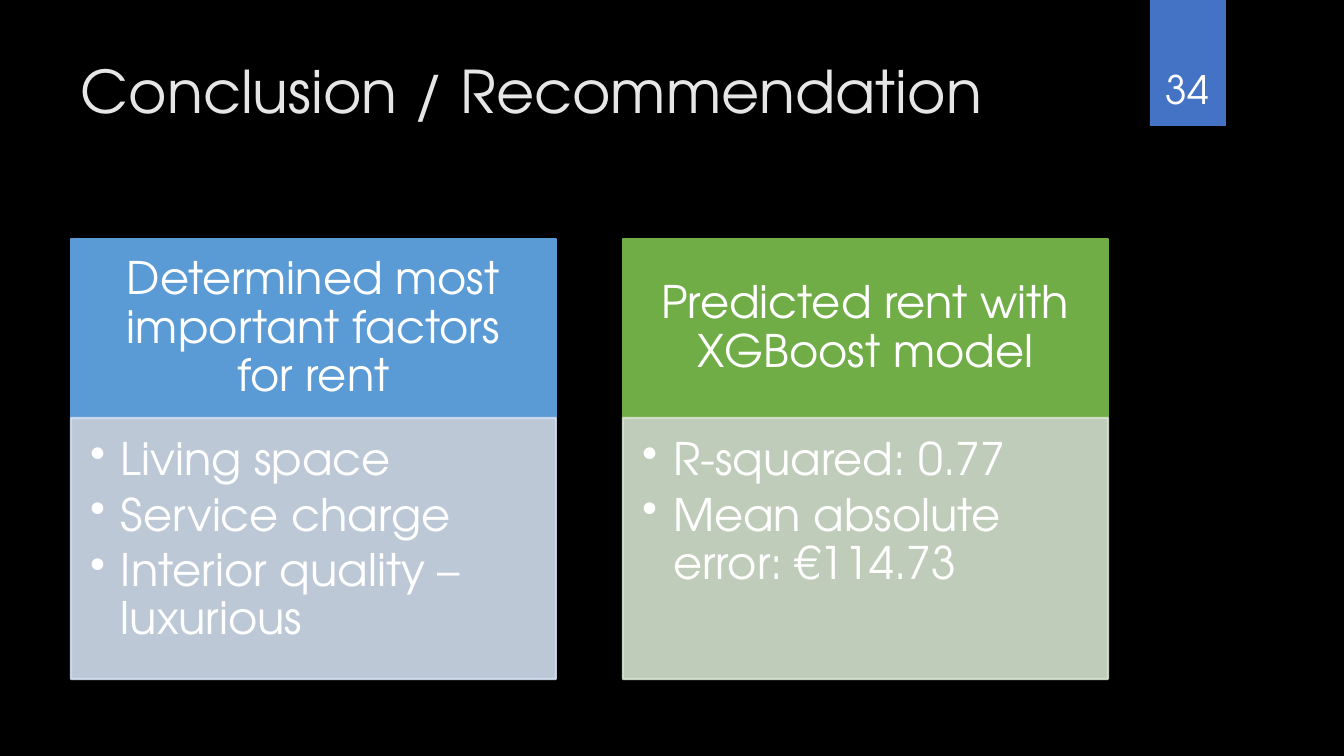
"""Build the conclusion slide: a title, a page tab and two headed cards."""
from lxml import etree
from pptx import Presentation
from pptx import util as u
from pptx.dml.color import RGBColor
from pptx.enum import shapes, text
from pptx.oxml.ns import qn

PX = 914400 / 100.8
BLACK = RGBColor(0x00, 0x00, 0x00)
WHITE = RGBColor(0xFF, 0xFF, 0xFF)
TITLE_GREY = RGBColor(0xE7, 0xE6, 0xE6)
TAB_BLUE = RGBColor(0x44, 0x72, 0xC4)
BLUE = RGBColor(0x5B, 0x9B, 0xD5)
PALE_BLUE = RGBColor(0xD2, 0xDE, 0xEF)
GREEN = RGBColor(0x70, 0xAD, 0x47)
PALE_GREEN = RGBColor(0xD5, 0xE3, 0xCF)
FONT = "TeX Gyre Adventor"

TITLE = "Conclusion / Recommendation"
PAGE = "34"
CARDS = [
    ("Determined most important factors for rent",
     ["Living space", "Service charge", "Interior quality – luxurious"],
     BLUE, PALE_BLUE),
    ("Predicted rent with XGBoost model",
     ["R-squared: 0.77", "Mean absolute error: €114.73"],
     GREEN, PALE_GREEN),
]

LEFT, CARD_TOP, CARD_WIDTH, CARD_STEP = 71, 239, 485, 552
HEAD_HEIGHT, BODY_HEIGHT = 179, 261
BULLET_INDENT = 31


def px(length):
    return u.Emu(round(length * PX))


def write(shape, lines, size=32, color=WHITE, align=text.PP_ALIGN.LEFT,
          anchor=text.MSO_ANCHOR.TOP, insets=(10, 5, 10, 5),
          spacing=None, after=0, bullet=None):
    frame = shape.text_frame
    frame.word_wrap = True
    frame.vertical_anchor = anchor
    (frame.margin_left, frame.margin_top,
     frame.margin_right, frame.margin_bottom) = map(px, insets)
    for index, line in enumerate(lines):
        paragraph = frame.add_paragraph() if index else frame.paragraphs[0]
        paragraph.alignment = align
        paragraph.line_spacing = spacing
        paragraph.space_after = u.Pt(after)
        if bullet:
            properties = paragraph._p.get_or_add_pPr()
            properties.set("marL", str(px(BULLET_INDENT)))
            properties.set("indent", str(-px(BULLET_INDENT)))
            etree.SubElement(properties, qn("a:buChar"), char=bullet)
        run = paragraph.add_run()
        run.text = line
        run.font.name = FONT
        run.font.size = u.Pt(size)
        run.font.color.rgb = color


def add_box(slide, bounds, color, outlined=True, opacity=100):
    box = slide.shapes.add_shape(shapes.MSO_SHAPE.RECTANGLE, *map(px, bounds))
    box.shadow.inherit = False
    box.fill.solid()
    box.fill.fore_color.rgb = color
    if outlined:
        box.line.color.rgb = color
        box.line.width = u.Pt(1.5)
    else:
        box.line.fill.background()
    if opacity < 100:
        for tint in box._element.spPr.iter(qn("a:srgbClr")):
            etree.SubElement(tint, qn("a:alpha"), val=str(opacity * 1000))
    return box


def add_card(slide, left, heading, points, color, pale):
    head = add_box(slide, (left, CARD_TOP, CARD_WIDTH, HEAD_HEIGHT), color)
    write(head, [heading], align=text.PP_ALIGN.CENTER,
          anchor=text.MSO_ANCHOR.MIDDLE, insets=(25, 14, 25, 14), spacing=0.9)
    body = add_box(slide, (left, CARD_TOP + HEAD_HEIGHT, CARD_WIDTH, BODY_HEIGHT),
                   pale, opacity=90)
    write(body, points, insets=(19, 19, 25, 28), spacing=0.9, after=5, bullet="•")


def main():
    deck = Presentation()
    deck.slide_width, deck.slide_height = px(1344), px(756)
    slide = deck.slides.add_slide(deck.slide_layouts[6])
    slide.background.fill.solid()
    slide.background.fill.fore_color.rgb = BLACK

    add_box(slide, (1150, 0, 76, 126), TAB_BLUE, outlined=False)
    title = slide.shapes.add_textbox(*map(px, (LEFT, 50, 1037, 154)))
    write(title, [TITLE], size=42, color=TITLE_GREY)
    page = slide.shapes.add_textbox(*map(px, (1141, 32, 93, 85)))
    write(page, [PAGE], size=28, align=text.PP_ALIGN.CENTER,
          anchor=text.MSO_ANCHOR.BOTTOM)

    for column, card in enumerate(CARDS):
        add_card(slide, LEFT + column * CARD_STEP, *card)
    deck.save("out.pptx")


if __name__ == "__main__":
    main()
